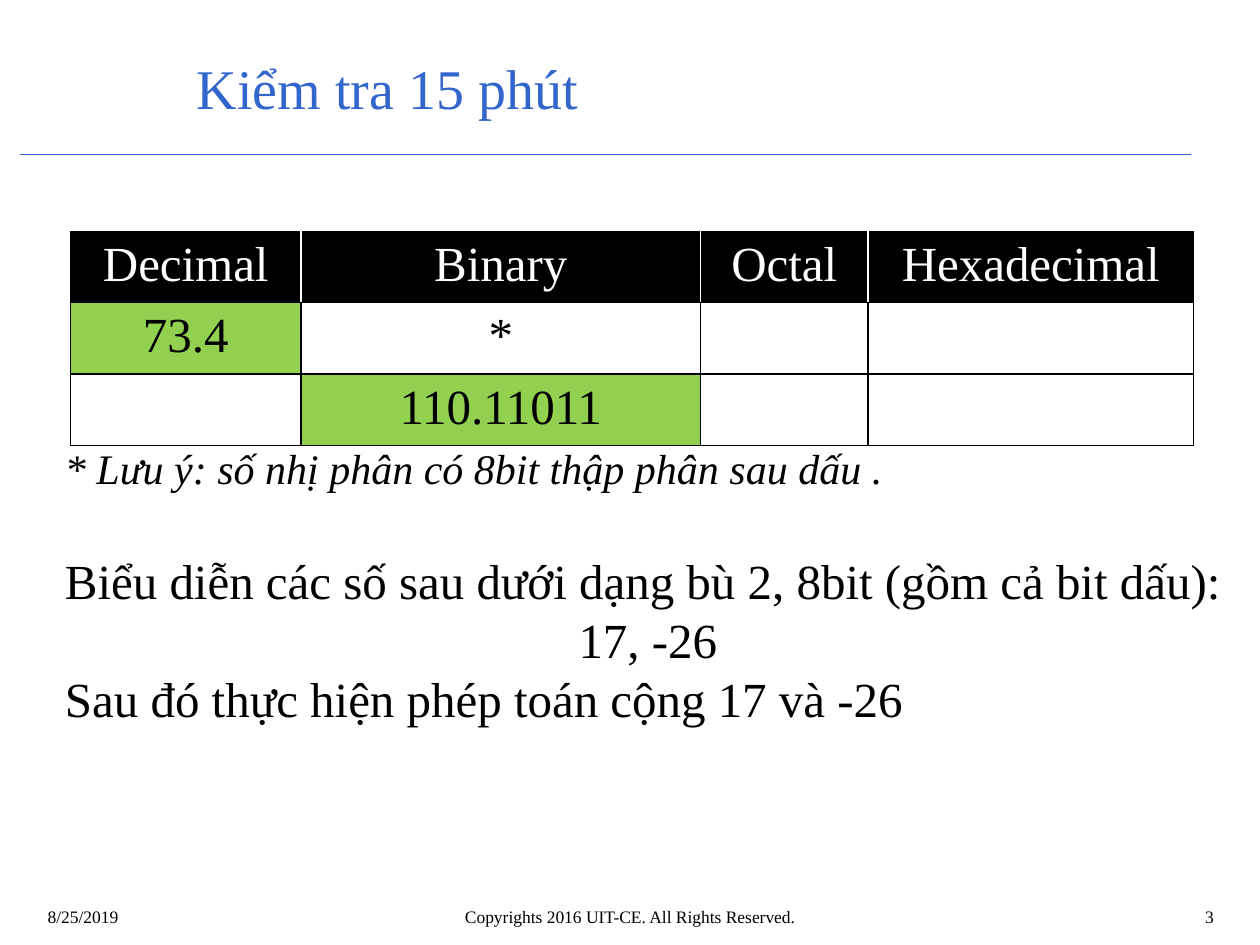
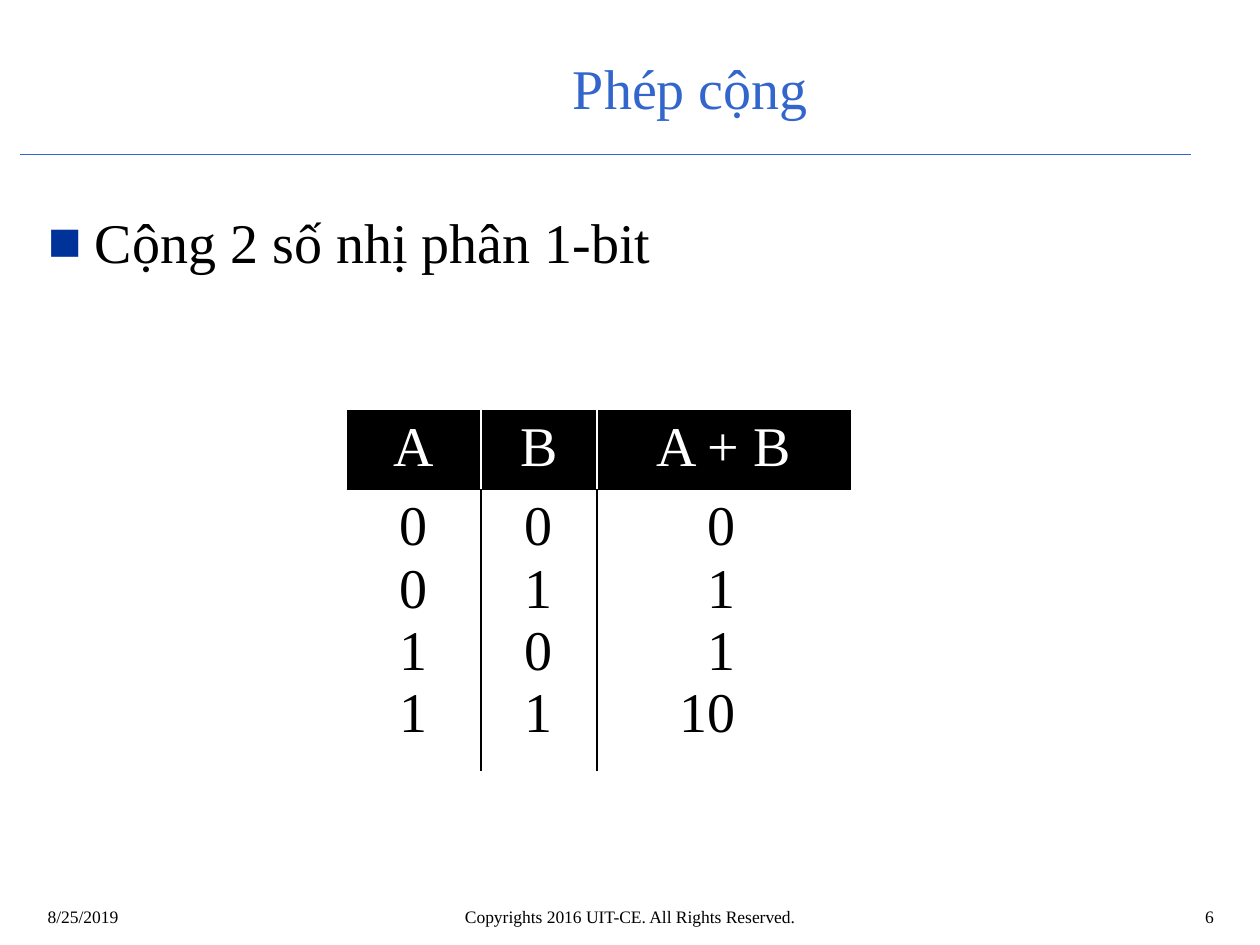
from lxml.etree import SubElement
from pptx import Presentation
from pptx.dml.color import RGBColor
from pptx.enum.text import MSO_ANCHOR, MSO_AUTO_SIZE, PP_ALIGN
from pptx.oxml.ns import qn
from pptx.util import Cm, Pt

COLORS = {"rule": "3366CC", "bullet": "003399", "ink": "000000",
          "paper": "FFFFFF", "given": "92D050"}
FACE = "Times New Roman"
LEFT, MID, RIGHT = PP_ALIGN.LEFT, PP_ALIGN.CENTER, PP_ALIGN.RIGHT
PLAIN_GRID = "{2D5ABB26-0587-4C30-8999-92F81FD0307C}"


def rgb(name):
    return RGBColor.from_string(COLORS[name])


def place(shape, left, top, width, height):
    box = {"left": left, "top": top, "width": width, "height": height}
    for key, value in box.items():
        setattr(shape, key, Cm(value))


def write(para, text, size, color="ink", align=LEFT, italic=False, before=0):
    layout = {"alignment": align, "space_before": Pt(before)}
    for key, value in layout.items():
        setattr(para, key, value)
    run = para.add_run()
    run.text = text
    look = {"name": FACE, "size": Pt(size), "italic": italic, "bold": False}
    for key, value in look.items():
        setattr(run.font, key, value)
    run.font.color.rgb = rgb(color)


def add_text(slide, box, lines):
    """Each line is a pair: text and a dict of its format."""
    shape = slide.shapes.add_textbox(*map(Cm, box))
    frame = shape.text_frame
    frame.word_wrap = True
    for i, (text, look) in enumerate(lines):
        para = frame.add_paragraph() if i else frame.paragraphs[0]
        write(para, text, **look)


# Parts that every slide shares
def add_title(slide, text, align):
    title = slide.shapes.title
    place(title, 3.71, 0.79, 20.42, 1.93)
    frame = title.text_frame
    frame.auto_size = MSO_AUTO_SIZE.NONE
    frame.vertical_anchor = MSO_ANCHOR.MIDDLE
    write(frame.paragraphs[0], text, 32, "rule", align)


def add_rule(slide):
    line = slide.shapes.add_connector(1, Cm(0.41), Cm(3.12), Cm(24), Cm(3.12))
    line.line.color.rgb = rgb("rule")
    line.line.width = Pt(0.75)
    SubElement(line._element.spPr, qn("a:effectLst"))


def add_footer(slide, page):
    parts = [(0.71, 5.92, "8/25/2019", LEFT),
             (4.9, 15.6, "Copyrights 2016 UIT-CE. All Rights Reserved.", MID),
             (19.84, 4.88, page, RIGHT)]
    for left, width, text, align in parts:
        add_text(slide, (left, 18.14, width, 0.81),
                 [(text, {"size": 10, "align": align})])


def new_slide(deck, layout, title, align, page):
    slide = deck.slides.add_slide(deck.slide_layouts[layout])
    add_rule(slide)
    add_title(slide, title, align)
    add_footer(slide, page)
    return slide


# Lists
def add_bullet(slide, text):
    body = slide.placeholders[1]
    place(body, 0.71, 4.05, 24, 13.3)
    body.text_frame.auto_size = MSO_AUTO_SIZE.NONE
    para = body.text_frame.paragraphs[0]
    props = para._p.get_or_add_pPr()
    props.set("marL", str(Cm(0.95)))
    props.set("indent", str(-Cm(0.95)))
    tint = SubElement(props, qn("a:buClr"))
    SubElement(tint, qn("a:srgbClr"), val=COLORS["bullet"])
    SubElement(props, qn("a:buChar"), char="■")
    write(para, text, 32)


# Tables
def set_edge(cell, side, color):
    props = cell._tc.get_or_add_tcPr()
    line = SubElement(props, qn("a:ln" + side), w=str(Pt(1)))
    if color:
        fill = SubElement(line, qn("a:solidFill"))
        SubElement(fill, qn("a:srgbClr"), val=COLORS[color])
    else:
        SubElement(line, qn("a:noFill"))


def set_edges(cell, row, col, last, boxed):
    inner = "ink" if row else "paper"
    outer = "ink" if row and boxed else None
    edges = {"L": inner if col else outer,
             "R": outer if col == last[1] else inner,
             "T": "ink" if row else None,
             "B": outer if row == last[0] else "ink"}
    for side, color in edges.items():
        set_edge(cell, side, color)


def add_tab(para, stop):
    tabs = SubElement(para._p.get_or_add_pPr(), qn("a:tabLst"))
    SubElement(tabs, qn("a:tab"), pos=str(Cm(stop)), algn="r")


def fill_cell(cell, text, size, color):
    frame = cell.text_frame
    for i, line in enumerate(text.split("\n") if text else []):
        para = frame.add_paragraph() if i else frame.paragraphs[0]
        tabbed = line.startswith("\t")
        if tabbed:
            add_tab(para, 2.54)
        write(para, line, size, color, LEFT if tabbed else MID)


def add_grid(slide, spot, widths, heights, rows, size, boxed, given=()):
    frame = slide.shapes.add_table(
        len(rows), len(widths), *map(Cm, (*spot, sum(widths), sum(heights))))
    table = frame.table
    table._tbl.tblPr.find(qn("a:tableStyleId")).text = PLAIN_GRID
    for key in ("first_row", "horz_banding"):
        setattr(table, key, False)
    for col, width in zip(table.columns, widths):
        col.width = Cm(width)
    for row, height in zip(table.rows, heights):
        row.height = Cm(height)
    last = len(rows) - 1, len(widths) - 1
    for r, row in enumerate(rows):
        for c, text in enumerate(row):
            cell = table.cell(r, c)
            set_edges(cell, r, c, last, boxed)
            back = "given" if (r, c) in given else "paper" if r else "ink"
            cell.fill.solid()
            cell.fill.fore_color.rgb = rgb(back)
            fill_cell(cell, text, size, "ink" if r else "paper")


def main():
    deck = Presentation()
    deck.slide_width, deck.slide_height = Cm(25.4), Cm(19.05)

    # Quiz: number bases and two's complement
    quiz = new_slide(deck, 5, "Kiểm tra 15 phút", LEFT, "3")
    add_grid(quiz, (1.42, 4.66), [4.65, 8.05, 3.38, 6.56], [1.35] * 3,
             [["Decimal", "Binary", "Octal", "Hexadecimal"],
              ["73.4", "*", "", ""],
              ["", "110.11011", "", ""]],
             28, True, {(1, 0), (2, 1)})
    add_text(quiz, (1.06, 8.79, 24, 6.25), [
        ("* Lưu ý: số nhị phân có 8bit thập phân sau dấu .",
         {"size": 24, "italic": True}),
        ("Biểu diễn các số sau dưới dạng bù 2, 8bit (gồm cả bit dấu):",
         {"size": 28, "before": 33}),
        ("17, -26", {"size": 28, "align": MID}),
        ("Sau đó thực hiện phép toán cộng 17 và -26", {"size": 28})])

    # Addition: one-bit truth table
    bits = new_slide(deck, 1, "Phép cộng", MID, "6")
    add_bullet(bits, "Cộng 2 số nhị phân 1-bit")
    add_grid(bits, (6.99, 8.26), [2.71, 2.33, 5.12], [1.5, 5.28],
             [["A", "B", "A + B"],
              ["0\n0\n1\n1", "0\n1\n0\n1", "\t0\n\t1\n\t1\n\t10"]],
             32, False)

    deck.save("out.pptx")


if __name__ == "__main__":
    main()
